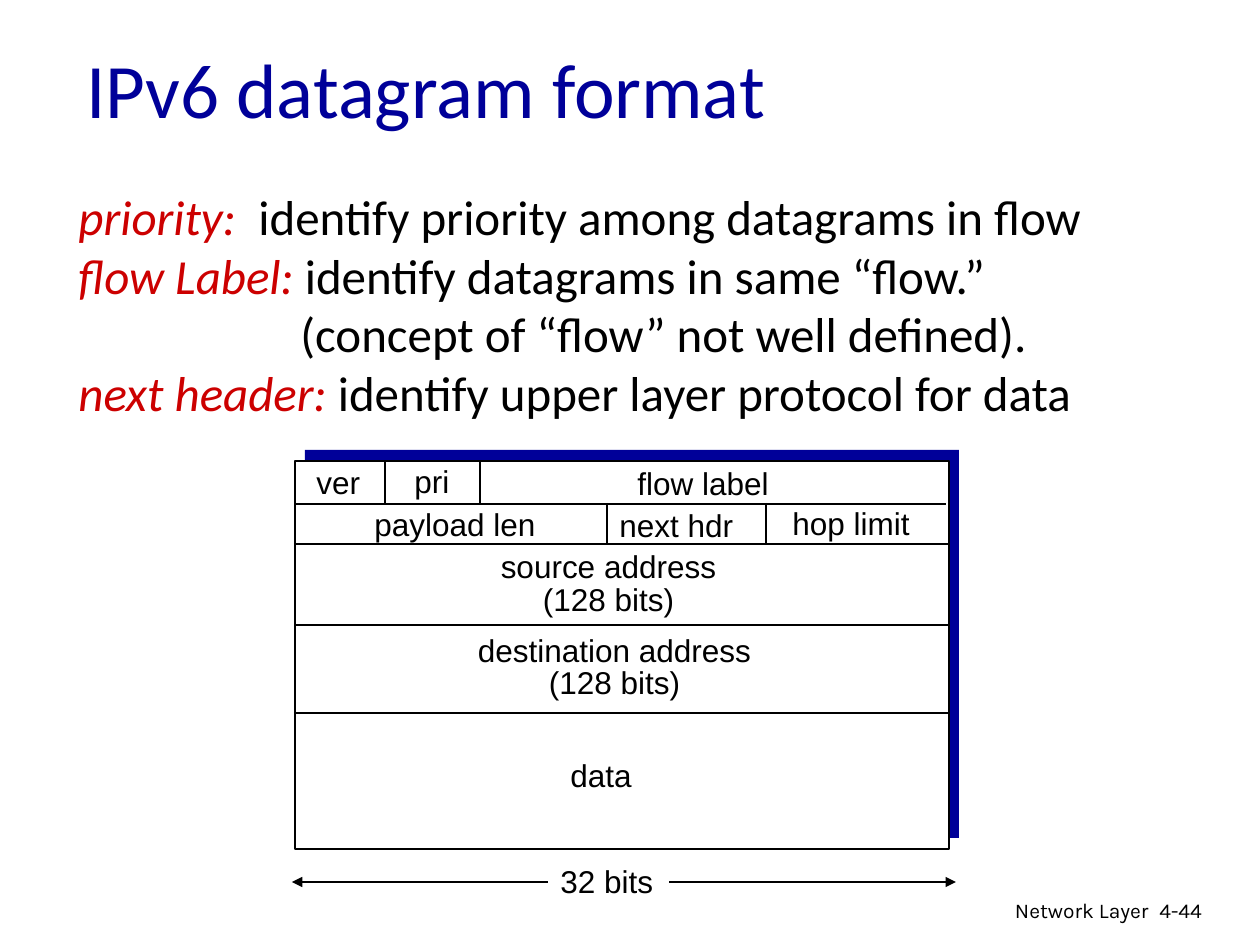
"""Build the IPv6 datagram format slide."""
from typing import NamedTuple, Optional

from lxml.etree import SubElement
from pptx import Presentation
from pptx.dml.color import RGBColor
from pptx.enum.shapes import MSO_CONNECTOR as CONN, MSO_SHAPE as SHAPE
from pptx.enum.text import MSO_ANCHOR as ANCHOR, MSO_AUTO_SIZE as FIT, PP_ALIGN as ALIGN
from pptx.oxml.ns import qn
from pptx.util import Pt

PX = 914400 / 126
NAVY = RGBColor(0x00, 0x00, 0x99)
RED = RGBColor(0xCC, 0x00, 0x00)
BLACK = RGBColor(0x00, 0x00, 0x00)
WHITE = RGBColor(0xFF, 0xFF, 0xFF)


class Box(NamedTuple):
    x: int
    y: int
    w: int
    h: int


class Style(NamedTuple):
    font: str
    size: int
    color: RGBColor = BLACK
    italic: bool = False


class Field(NamedTuple):
    lines: tuple[str, ...]
    box: Box
    fill: Optional[RGBColor] = None


class Rule(NamedTuple):
    x1: int
    y1: int
    x2: int
    y2: int


class Term(NamedTuple):
    name: str
    meaning: str
    indent: int = 0
    tab: int = 0


TITLE = Style("Calibri", 44, NAVY)
BODY = Style("Calibri", 28)
TERM = Style("Calibri", 28, RED, True)
LABEL = Style("Arial", 18)
FOOTER = Style("Karla", 12)

TERMS = (
    Term("priority:", "\tidentify priority among datagrams in flow", tab=180),
    Term("flow Label:", " identify datagrams in same “flow.”"),
    Term("", "(concept of “flow” not well defined).", indent=222),
    Term("next header:", " identify upper layer protocol for data"),
)
RULES = (
    Rule(295, 504, 946, 504),
    Rule(294, 544, 950, 544),
    Rule(295, 625, 950, 625),
    Rule(294, 713, 950, 713),
    Rule(385, 462, 385, 503),
    Rule(480, 462, 480, 503),
    Rule(607, 503, 607, 544),
    Rule(766, 503, 766, 544),
)
FIELDS = (
    Field(("ver",), Box(304, 457, 72, 50)),
    Field(("pri",), Box(402, 456, 64, 50)),
    Field(("flow label",), Box(625, 458, 160, 50)),
    Field(("payload len",), Box(362, 499, 190, 50)),
    Field(("next hdr",), Box(607, 500, 143, 50)),
    Field(("hop limit",), Box(780, 498, 146, 50)),
    Field(("source address", "(128 bits)"), Box(488, 547, 241, 77)),
    Field(("destination address", "(128 bits)"), Box(464, 631, 301, 77)),
    Field(("data",), Box(558, 750, 90, 50)),
    Field(("32 bits",), Box(548, 856, 121, 50), WHITE),
)


def emu(px: int) -> int:
    return round(px * PX)


def add_run(p, text: str, style: Style) -> None:
    r = p.add_run()
    r.text = text
    f = r.font
    f.name, f.size, f.italic = style.font, Pt(style.size), style.italic
    f.color.rgb = style.color


def add_box(s, box: Box, wrap: bool = True):
    sp = s.shapes.add_textbox(*map(emu, box))
    sp.text_frame.word_wrap = wrap
    return sp


def add_text(s, box: Box, text: str, style: Style, align=ALIGN.LEFT, anchor=ANCHOR.TOP) -> None:
    tf = add_box(s, box).text_frame
    tf.vertical_anchor = anchor
    p = tf.paragraphs[0]
    p.alignment = align
    add_run(p, text, style)


def add_terms(s, box: Box, terms: tuple[Term, ...]) -> None:
    tf = add_box(s, box).text_frame
    for i, term in enumerate(terms):
        p = tf.add_paragraph() if i else tf.paragraphs[0]
        pPr = p._p.get_or_add_pPr()
        if term.indent:
            pPr.set("marL", str(emu(term.indent)))
        if term.tab:
            tabs = SubElement(pPr, qn("a:tabLst"))
            SubElement(tabs, qn("a:tab"), pos=str(emu(term.tab)), algn="l")
        if term.name:
            add_run(p, term.name, TERM)
        add_run(p, term.meaning, BODY)


def add_field(s, field: Field) -> None:
    sp = add_box(s, field.box, wrap=False)
    if field.fill is not None:
        sp.fill.solid()
        sp.fill.fore_color.rgb = field.fill
    tf = sp.text_frame
    tf.auto_size = FIT.SHAPE_TO_FIT_TEXT
    for i, line in enumerate(field.lines):
        p = tf.add_paragraph() if i else tf.paragraphs[0]
        if len(field.lines) > 1:
            p.alignment, p.line_spacing = ALIGN.CENTER, 0.85
        add_run(p, line, LABEL)


def add_rect(s, box: Box, fill: RGBColor, outlined: bool = False) -> None:
    sp = s.shapes.add_shape(SHAPE.RECTANGLE, *map(emu, box))
    sp.shadow.inherit = False
    sp.fill.solid()
    sp.fill.fore_color.rgb = fill
    if outlined:
        sp.line.color.rgb, sp.line.width = BLACK, Pt(1.5)
    else:
        sp.line.fill.background()


def add_rule(s, rule: Rule, width: float = 1.5, arrows: bool = False) -> None:
    cx = s.shapes.add_connector(CONN.STRAIGHT, *map(emu, rule))
    cx.line.color.rgb, cx.line.width = BLACK, Pt(width)
    if arrows:
        for end in ("a:headEnd", "a:tailEnd"):
            SubElement(cx.line._get_or_add_ln(), qn(end), type="triangle")
    SubElement(cx._element.spPr, qn("a:effectLst"))


def main() -> None:
    prs = Presentation()
    prs.slide_width, prs.slide_height = emu(1260), emu(945)
    s = prs.slides.add_slide(prs.slide_layouts[6])
    add_text(s, Box(762, 891, 399, 39), "Network Layer", FOOTER, ALIGN.RIGHT)
    add_text(s, Box(1147, 891, 93, 38), "4-44", FOOTER)
    add_text(s, Box(74, 25, 1071, 125), "IPv6 datagram format", TITLE, anchor=ANCHOR.MIDDLE)
    add_terms(s, Box(66, 180, 1050, 251), TERMS)
    add_rect(s, Box(305, 450, 654, 388), NAVY)
    add_rect(s, Box(295, 461, 654, 388), WHITE, outlined=True)
    for rule in RULES:
        add_rule(s, rule)
    add_rule(s, Rule(292, 882, 956, 882), 0.75, arrows=True)
    for field in FIELDS:
        add_field(s, field)
    prs.save("out.pptx")


if __name__ == "__main__":
    main()
